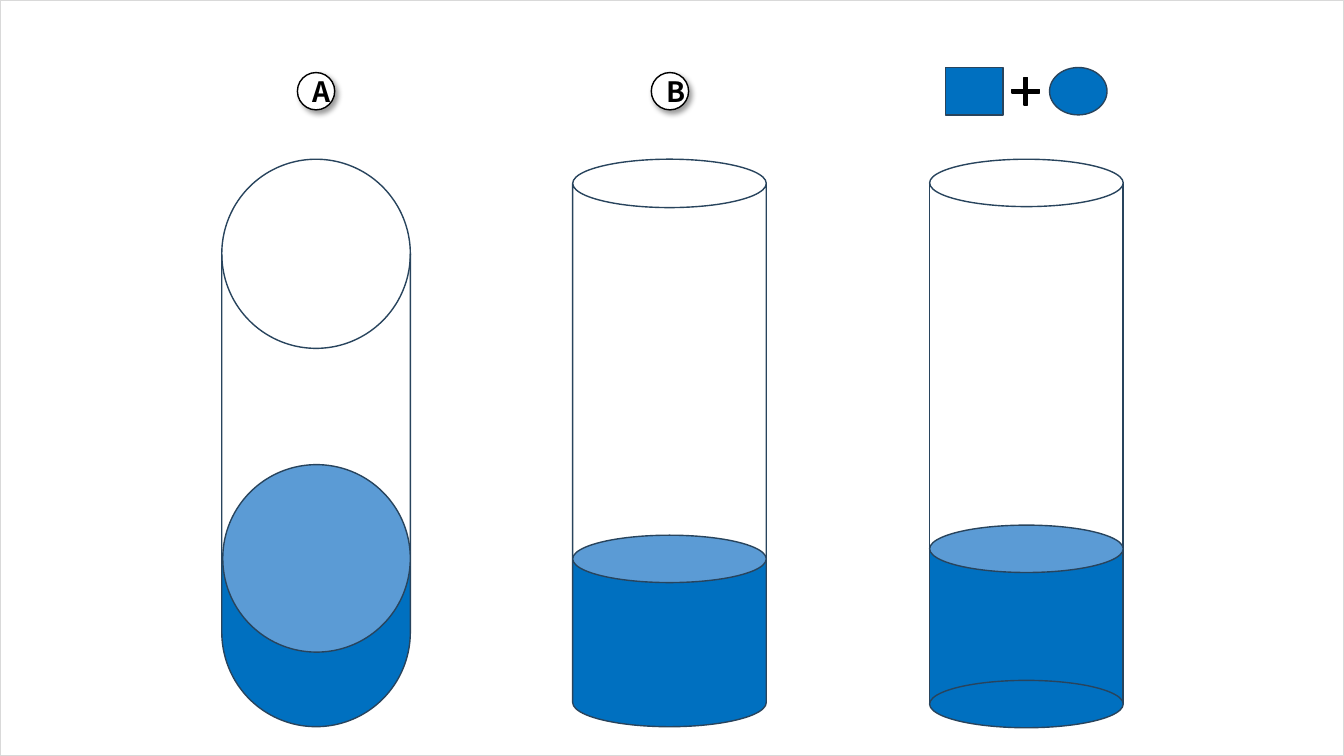
import pptx
import pptx.dml.color
import pptx.enum.shapes
import pptx.enum.text
import pptx.util
from lxml import etree
from pptx.oxml.ns import qn

Inches = pptx.util.Inches
RGBColor = pptx.dml.color.RGBColor
MSO_SHAPE = pptx.enum.shapes.MSO_SHAPE

WHITE = RGBColor(0xFF, 0xFF, 0xFF)
BLACK = RGBColor(0, 0, 0)
FRAME_GREY = RGBColor(0xD9, 0xD9, 0xD9)
OUTLINE = RGBColor(0x28, 0x44, 0x5D)
LIQUID = RGBColor(0x00, 0x70, 0xC0)
SURFACE = RGBColor(0x5B, 0x9B, 0xD5)

FONT = "Noto Sans CJK JP"
SLIDE_W, SLIDE_H = 13.33, 7.5
TUBE_TOP, TUBE_H = 1.58, 5.63
RIM_H = 0.47
LIQUID_STOPS = [(0, WHITE), (70, WHITE), (70, LIQUID), (100, LIQUID)]

# preset, centre x, top, width, height
TUBES = [
    (MSO_SHAPE.FLOWCHART_MAGNETIC_DISK, 3.135, TUBE_TOP, 1.87, TUBE_H),
    (MSO_SHAPE.CAN, 6.64, TUBE_TOP, 1.92, TUBE_H),
    (MSO_SHAPE.RECTANGLE, 10.18, 1.82, 1.92, 5.16),
]
# centre x, top, width, height, fill
RIMS = [
    (10.18, TUBE_TOP, 1.92, RIM_H, WHITE),
    (10.18, 6.75, 1.92, RIM_H, LIQUID),
]
SURFACES = [
    (10.18, 5.21, 1.92, RIM_H, SURFACE),
    (6.64, 5.31, 1.92, RIM_H, SURFACE),
    (3.14, 4.61, 1.86, 1.86, SURFACE),
]
BADGES = [("A", 3.135), ("B", 6.645)]
BADGE_TOP, BADGE_SIZE = 0.72, 0.37
# preset, centre x, top, width, height, fill, outline
RECIPE = [
    (MSO_SHAPE.RECTANGLE, 9.665, 0.67, 0.57, 0.47, LIQUID, OUTLINE),
    (MSO_SHAPE.OVAL, 10.695, 0.67, 0.57, 0.47, LIQUID, OUTLINE),
    (MSO_SHAPE.MATH_PLUS, 10.175, 0.72, 0.37, 0.37, BLACK, BLACK),
]


def add_part(shapes, preset, centre, top, width, height, fill=None, outline=OUTLINE):
    """Add a preset shape centred on a given x; without a fill it is hollow."""
    part = shapes.add_shape(preset, Inches(centre - width / 2), Inches(top),
                            Inches(width), Inches(height))
    part.shadow.inherit = False
    if fill is None:
        part.fill.background()
    else:
        part.fill.solid()
        part.fill.fore_color.rgb = fill
    part.line.color.rgb = outline
    part.line.width = pptx.util.Pt(1)
    return part


def fill_with_liquid(tube):
    """Give a tube a hard-edged vertical gradient."""
    tube.fill.gradient()
    tube.fill.gradient_angle = 270
    stops = tube._element.spPr.find(qn("a:gradFill")).find(qn("a:gsLst"))
    for old_stop in list(stops):
        stops.remove(old_stop)
    for percent, color in LIQUID_STOPS:
        stop = etree.SubElement(stops, qn("a:gs"), pos=str(percent * 1000))
        etree.SubElement(stop, qn("a:srgbClr"), val=str(color))


def add_drop_shadow(badge):
    effects = badge._element.spPr.find(qn("a:effectLst"))
    shadow = etree.SubElement(
        effects, qn("a:outerShdw"), blurRad=str(pptx.util.Pt(4)),
        dist=str(pptx.util.Pt(3)), dir=str(45 * 60000), algn="tl", rotWithShape="0")
    color = etree.SubElement(shadow, qn("a:srgbClr"), val=str(BLACK))
    etree.SubElement(color, qn("a:alpha"), val="40000")


def add_badge(shapes, letter, centre):
    badge = add_part(shapes, MSO_SHAPE.OVAL, centre, BADGE_TOP,
                     BADGE_SIZE, BADGE_SIZE, WHITE, BLACK)
    add_drop_shadow(badge)
    badge.text_frame.vertical_anchor = pptx.enum.text.MSO_ANCHOR.MIDDLE
    paragraph = badge.text_frame.paragraphs[0]
    paragraph.text = letter
    paragraph.alignment = pptx.enum.text.PP_ALIGN.CENTER
    paragraph.font.name = FONT
    paragraph.font.size = pptx.util.Pt(20)
    paragraph.font.bold = True
    paragraph.font.color.rgb = BLACK


def main():
    deck = pptx.Presentation()
    deck.slide_width, deck.slide_height = Inches(SLIDE_W), Inches(SLIDE_H)
    shapes = deck.slides.add_slide(deck.slide_layouts[6]).shapes

    add_part(shapes, MSO_SHAPE.RECTANGLE, SLIDE_W / 2, 0, SLIDE_W, SLIDE_H,
             outline=FRAME_GREY)
    for tube in TUBES:
        fill_with_liquid(add_part(shapes, *tube))
    for rim in RIMS:
        add_part(shapes, MSO_SHAPE.OVAL, *rim)
    for letter, centre in BADGES:
        add_badge(shapes, letter, centre)
    for surface in SURFACES:
        add_part(shapes, MSO_SHAPE.OVAL, *surface)

    recipe = shapes.add_group_shape()
    for item in RECIPE:
        symbol = add_part(recipe.shapes, *item)
    symbol.adjustments[0] = 0.091

    deck.save("out.pptx")


if __name__ == "__main__":
    main()
